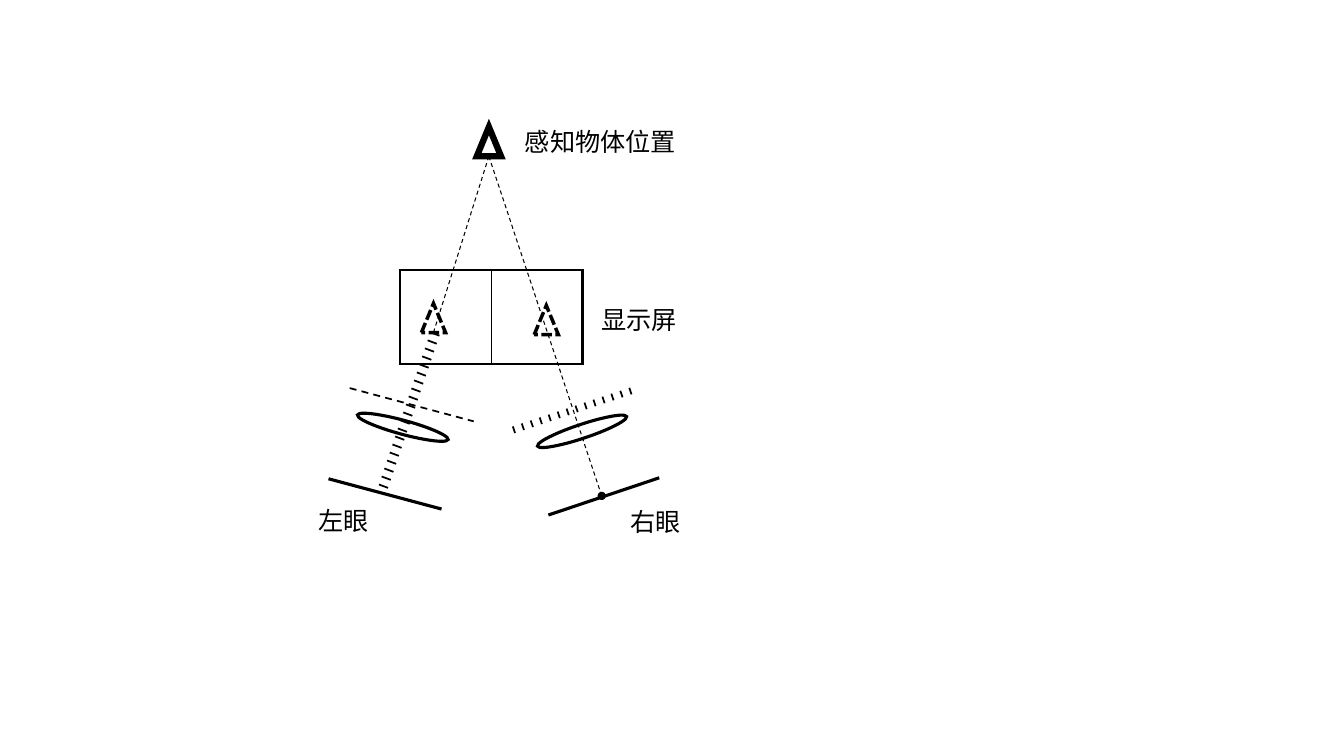
from lxml.etree import SubElement
from pptx import Presentation
from pptx.dml.color import RGBColor
from pptx.enum.dml import MSO_LINE as DASH
from pptx.enum.shapes import MSO_CONNECTOR, MSO_SHAPE as SHAPE
from pptx.enum.text import MSO_AUTO_SIZE, PP_ALIGN as ALIGN
from pptx.oxml.ns import qn
from pptx.util import Pt

BLACK = RGBColor(0, 0, 0)
FONT = "Noto Sans CJK SC"
TRIANGLE_W, TRIANGLE_H = 17.3, 20.9
LENS_W, LENS_H = 67, 10


def set_line(sp, width, dash=None):
    """Give a shape or connector a black line."""
    sp.line.color.rgb = BLACK
    for name, value in {"width": Pt(width), "dash_style": dash}.items():
        setattr(sp.line, name, value)


def add_outline(shapes, kind, x, y, w, h, width, dash=None, rotation=0):
    """Add an unfilled preset shape with mitred corners."""
    sp = shapes.add_shape(kind, Pt(x), Pt(y), Pt(w), Pt(h))
    sp.shadow.inherit = False
    sp.fill.background()
    sp.rotation = rotation
    set_line(sp, width, dash)
    SubElement(sp.line._get_or_add_ln(), qn("a:miter"), lim="800000")


def add_line(shapes, start, end, width, dash=None, dot=False):
    """Add a straight line, with an optional dot at its end."""
    sp = shapes.add_connector(MSO_CONNECTOR.STRAIGHT, *map(Pt, start + end))
    set_line(sp, width, dash)
    SubElement(sp._element.spPr, qn("a:effectLst"))
    if dot:
        SubElement(sp.line._get_or_add_ln(), qn("a:tailEnd"), type="oval")


def add_ticks(shapes, count, first, last, offset):
    """Add evenly spaced parallel ticks from first to last."""
    for i in range(count):
        x, y = (a + (b - a) * i / (count - 1) for a, b in zip(first, last))
        add_line(shapes, (x, y), (x + offset[0], y + offset[1]), 1.25)


def add_label(shapes, text, x, y, w, align=ALIGN.LEFT):
    """Add a one-line label."""
    tf = shapes.add_textbox(Pt(x), Pt(y), Pt(w), Pt(29)).text_frame
    tf.word_wrap = False
    tf.auto_size = MSO_AUTO_SIZE.SHAPE_TO_FIT_TEXT
    p = tf.paragraphs[0]
    p.alignment = align
    r = p.add_run()
    r.text = text
    for name, value in {"name": FONT, "size": Pt(18)}.items():
        setattr(r.font, name, value)
    r.font.color.rgb = BLACK
    SubElement(r._r.get_or_add_rPr(), qn("a:ea"), typeface=FONT)


def add_object_and_sight_lines(shapes):
    """Draw the perceived object and its two lines of sight."""
    apex = (349.2, 111.6)
    add_outline(shapes, SHAPE.ISOSCELES_TRIANGLE, 340.6, 90.7,
                TRIANGLE_W, TRIANGLE_H, 4.5)
    add_line(shapes, apex, (309.6, 237.6), 0.75, DASH.DASH)
    add_line(shapes, apex, (429.8, 354.2), 0.75, DASH.DASH, dot=True)
    add_label(shapes, "感知物体位置", 367.9, 86.4, 123.8)


def add_eyes(shapes):
    """Draw the lens, retina, filter and name of each eye."""
    for text, x, y in (("左眼", 219.6, 357.1), ("右眼", 442.8, 357.8)):
        add_label(shapes, text, x, y, 51.1, ALIGN.CENTER)
    for x, y, rotation in ((254.2, 300.2, 15.2), (382.3, 303.1, 341.6)):
        add_outline(shapes, SHAPE.OVAL, x, y, LENS_W, LENS_H, 2.25,
                    rotation=rotation)
    add_line(shapes, (234.7, 342), (315.4, 363.6), 2.25)
    add_line(shapes, (391.7, 367.9), (470.9, 341.3), 2.25)
    add_line(shapes, (249.8, 277.2), (338.4, 301), 1.25, DASH.DASH)
    add_ticks(shapes, 14, (366.3, 304.6), (449.5, 277), (1.6, 4.7))


def add_screen(shapes):
    """Draw the split display with its two images."""
    for x, y in ((301, 216.7), (381.6, 218.2)):
        add_outline(shapes, SHAPE.ISOSCELES_TRIANGLE, x, y,
                    TRIANGLE_W, TRIANGLE_H, 2.5, DASH.SQUARE_DOT)
    add_outline(shapes, SHAPE.RECTANGLE, 285.8, 193, 130.3, 67.3, 1.5)
    add_line(shapes, (351.2, 193), (351.2, 260.2), 1)
    add_label(shapes, "显示屏", 422.6, 213.8, 69.1)


def main():
    """Build the slide and save it."""
    prs = Presentation()
    prs.slide_width, prs.slide_height = Pt(960), Pt(540)
    slide = prs.slides.add_slide(prs.slide_layouts[6])
    shapes = slide.shapes.add_group_shape().shapes
    add_object_and_sight_lines(shapes)
    add_eyes(shapes)
    add_screen(shapes)
    add_ticks(shapes, 20, (277.2, 348.5), (313.9, 239.8), (-6.5, -2.4))
    prs.save("out.pptx")


main()
